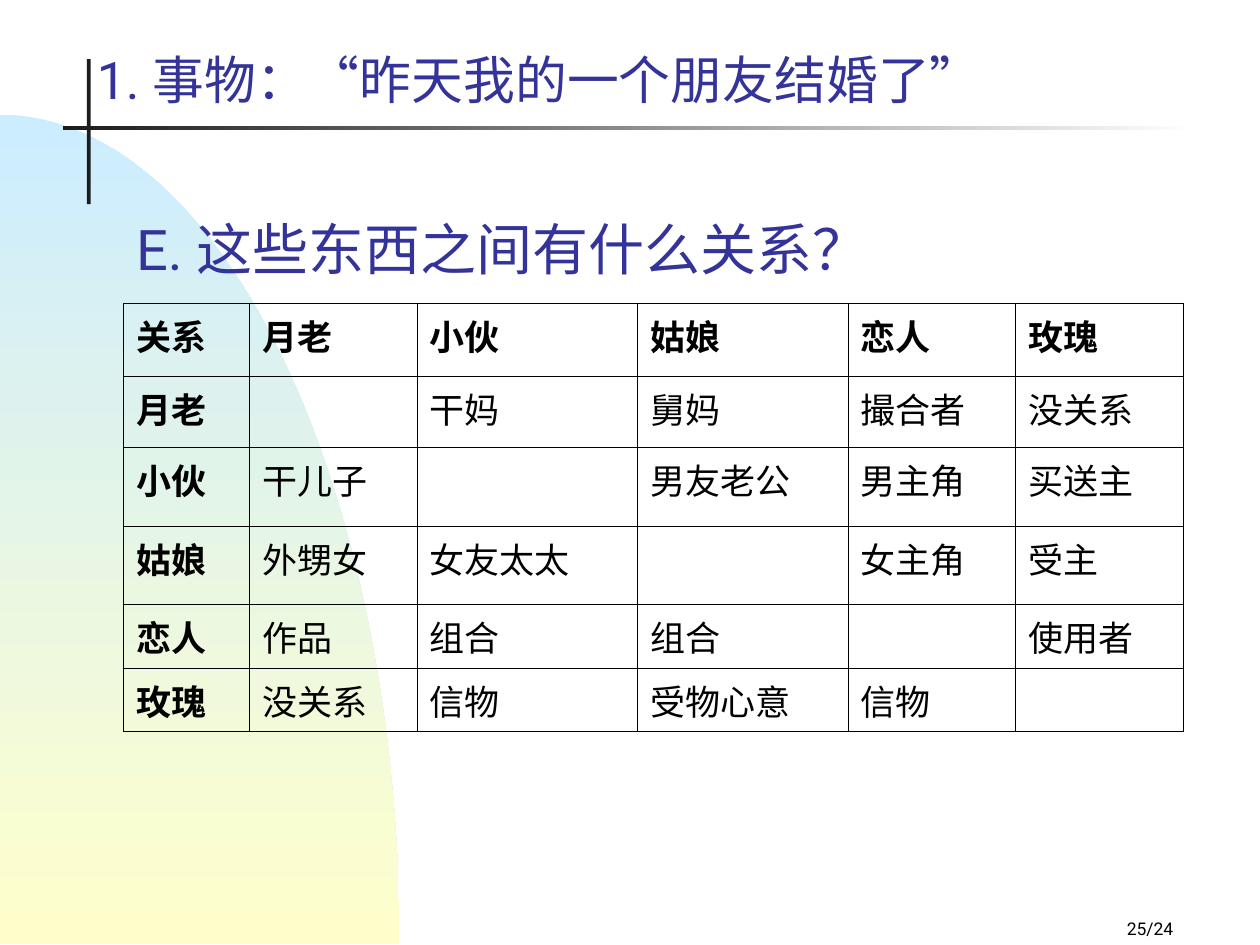
import math
from dataclasses import dataclass

import pptx
import pptx.dml.color
import pptx.enum.lang
import pptx.enum.shapes
import pptx.enum.text
import pptx.oxml
import pptx.oxml.ns
import pptx.util
from pptx.util import Inches

RGB = pptx.dml.color.RGBColor.from_string
ALIGN = pptx.enum.text.PP_ALIGN
ANCHOR = pptx.enum.text.MSO_ANCHOR


@dataclass(frozen=True)
class Theme:
    font: str = "Roboto"
    heading: str = "333399"
    ink: str = "000000"
    rule: str = "1C1C1C"
    paper: str = "FFFFFF"
    sky: str = "CCECFF"
    sand: str = "FFFFCC"
    topic_size: float = 29.6
    title_size: float = 32
    cell_size: float = 20
    number_size: float = 10
    border_width: float = 0.45


THEME = Theme()
PEOPLE = ["月老", "小伙", "姑娘", "恋人", "玫瑰"]
RELATIONS = [
    ["", "干妈", "舅妈", "撮合者", "没关系"],
    ["干儿子", "", "男友老公", "男主角", "买送主"],
    ["外甥女", "女友太太", "", "女主角", "受主"],
    ["作品", "组合", "组合", "", "使用者"],
    ["没关系", "信物", "受物心意", "信物", ""],
]
COLUMN_WIDTHS = [1, 1.33, 1.75, 1.67, 1.33, 1.33]
ROW_HEIGHTS = [0.58, 0.56, 0.63, 0.62, 0.5, 0.5]


def box(*lengths):
    return tuple(Inches(length) for length in lengths)


def apply(target, values):
    for name, value in values.items():
        setattr(target, name, value)


def write(frame, text, size, color, bold=False, align=ALIGN.LEFT):
    para = frame.paragraphs[0]
    para.alignment = align
    span = para.add_run()
    span.text = text
    apply(span.font, {
        "name": THEME.font,
        "size": pptx.util.Pt(size),
        "bold": bold,
        "language_id": pptx.enum.lang.MSO_LANGUAGE_ID.SIMPLIFIED_CHINESE,
    })
    span.font.color.rgb = RGB(color)


def format_frame(frame):
    apply(frame, {
        "word_wrap": True,
        "auto_size": pptx.enum.text.MSO_AUTO_SIZE.NONE,
        "vertical_anchor": ANCHOR.BOTTOM,
    })


def paint_gradient(shape, colors, angle):
    shape.fill.gradient()
    shape.fill.gradient_angle = angle
    for stop, color in zip(shape.fill.gradient_stops, colors):
        stop.color.rgb = RGB(color)


def strip_outline(shape):
    shape.shadow.inherit = False
    shape.line.fill.background()


def add_hill(page, left, top, width, height, steps=60):
    angles = [math.pi / 2 * step / steps for step in range(steps + 1)]
    curve = [
        (left + width * math.sin(angle), top + height * (1 - math.cos(angle)))
        for angle in angles
    ]
    builder = page.shapes.build_freeform(left, top)
    builder.add_line_segments(curve[1:] + [(left, top + height)], close=True)
    hill = builder.convert_to_shape()
    strip_outline(hill)
    paint_gradient(hill, (THEME.sky, THEME.sand), 270)


def add_bar(page, area):
    bar = page.shapes.add_shape(pptx.enum.shapes.MSO_SHAPE.RECTANGLE, *area)
    strip_outline(bar)
    return bar


def add_cross_rules(page, vertical, horizontal):
    upright = add_bar(page, vertical)
    upright.fill.solid()
    upright.fill.fore_color.rgb = RGB(THEME.rule)
    paint_gradient(add_bar(page, horizontal), (THEME.rule, THEME.paper), 0)


def add_label(page, area, *text_format):
    label = page.shapes.add_textbox(*area)
    format_frame(label.text_frame)
    write(label.text_frame, *text_format)


def place_title(page, area, text):
    title = page.shapes.title
    apply(title, dict(zip(("left", "top", "width", "height"), area)))
    title.element.getparent().append(title.element)
    format_frame(title.text_frame)
    write(title.text_frame, text, THEME.title_size, THEME.heading)


def draw_borders(cell):
    properties = cell._tc.get_or_add_tcPr()
    width = pptx.util.Pt(THEME.border_width)
    for side in ("lnL", "lnR", "lnT", "lnB"):
        properties.append(pptx.oxml.parse_xml(
            f'<a:{side} {pptx.oxml.ns.nsdecls("a")} w="{width}"><a:solidFill>'
            f'<a:srgbClr val="{THEME.ink}"/></a:solidFill></a:{side}>'
        ))


def add_relation_table(page, area):
    rows = [["关系"] + PEOPLE]
    rows += [[person] + cells for person, cells in zip(PEOPLE, RELATIONS)]
    table = page.shapes.add_table(len(rows), len(rows[0]), *area).table
    apply(table, {"first_row": False, "horz_banding": False})
    for column, width in zip(table.columns, COLUMN_WIDTHS):
        column.width = Inches(width)
    for row, height in zip(table.rows, ROW_HEIGHTS):
        row.height = Inches(height)
    for row_index, texts in enumerate(rows):
        for column_index, text in enumerate(texts):
            cell = table.cell(row_index, column_index)
            draw_borders(cell)
            cell.fill.background()
            if text:
                is_header = row_index == 0 or column_index == 0
                write(cell.text_frame, text, THEME.cell_size, THEME.ink, is_header)


def main():
    deck = pptx.Presentation()
    deck.slide_width, deck.slide_height = box(10, 7.5)
    page = deck.slides.add_slide(deck.slide_layouts.get_by_name("Title Only"))
    add_hill(page, *box(0, 0.91, 3.17, 6.58))
    add_cross_rules(page, box(0.69, 0.47, 0.03, 1.15), box(0.5, 1, 9, 0.03))
    add_label(page, box(7.33, 7.17, 2.08, 0.33), "25/24",
              THEME.number_size, THEME.ink, False, ALIGN.RIGHT)
    place_title(page, box(0.98, 1.54, 7.08, 0.75), "E. 这些东西之间有什么关系？")
    add_relation_table(page, box(0.98, 2.41, sum(COLUMN_WIDTHS), sum(ROW_HEIGHTS)))
    add_label(page, box(0.67, 0.17, 7.88, 0.75), "1. 事物：“昨天我的一个朋友结婚了”",
              THEME.topic_size, THEME.heading)
    deck.save("out.pptx")


if __name__ == "__main__":
    main()
